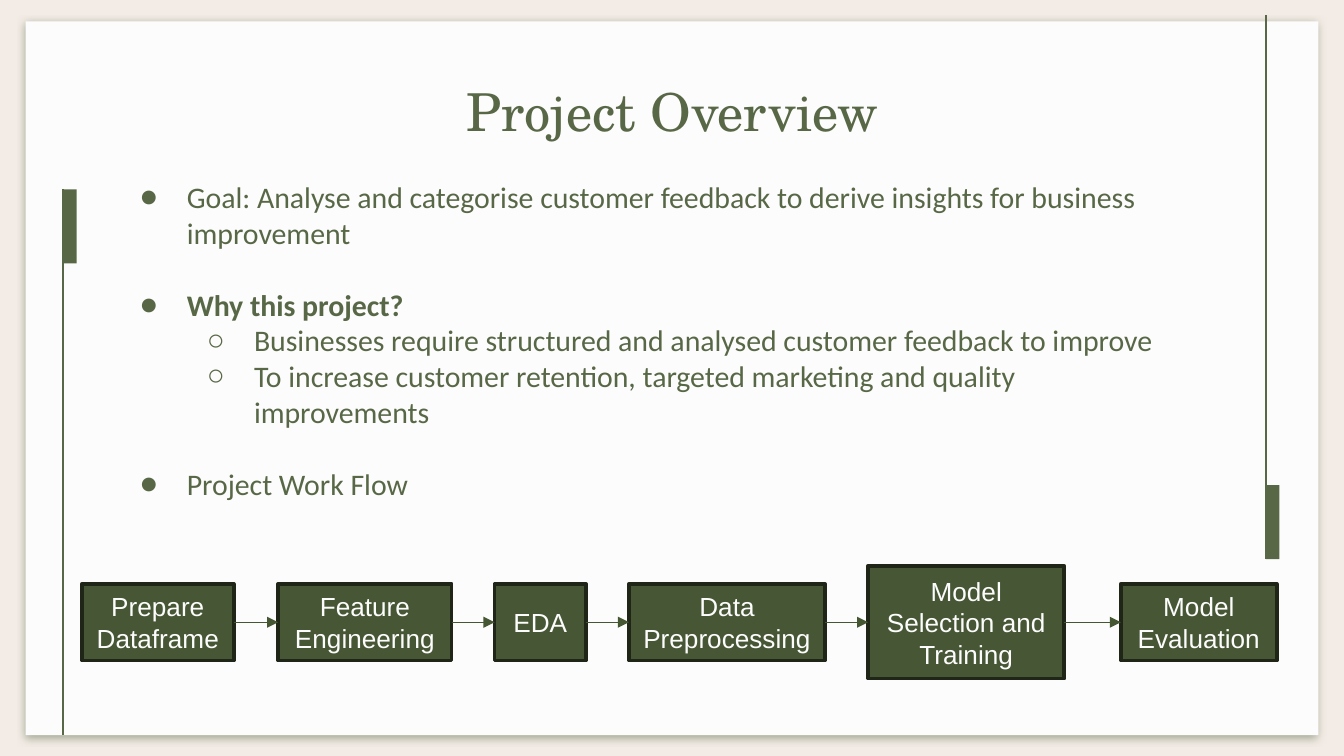
from lxml import etree
from pptx import Presentation
from pptx.dml.color import RGBColor
from pptx.enum import shapes, text
from pptx.oxml import parse_xml
from pptx.oxml.ns import qn
from pptx.util import Inches, Pt

NS = 'xmlns:a="http://schemas.openxmlformats.org/drawingml/2006/main"'
GREEN = "586847"
PALE = "FCFCFC"
MID = 4.63  # centre height of the work flow

# Bullet sign and font for each level
BULLETS = [("●", "Calibri"), ("○", "Arial")]

# text, level, bold, line spacing
ITEMS = [
    ("Goal: Analyse and categorise customer feedback to derive insights "
     "for business improvement", 0, False, 1.0),
    ("Why this project?", 0, True, 2.0),
    ("Businesses require structured and analysed customer feedback to improve",
     1, False, 1.0),
    ("To increase customer retention, targeted marketing and quality improvements",
     1, False, 1.0),
    ("Project Work Flow", 0, False, 2.0),
]

# label, left, width, height
STEPS = [
    ("Prepare Dataframe", 0.61, 1.13, 0.57),
    ("Feature Engineering", 2.07, 1.29, 0.57),
    ("EDA", 3.68, 0.68, 0.57),
    ("Data Preprocessing", 4.68, 1.46, 0.57),
    ("Model Selection and Training", 6.46, 1.46, 0.84),
    ("Model Evaluation", 8.34, 1.16, 0.57),
]


def color(code):
    return RGBColor.from_string(code)


def style(par, font, size, code, bold=False):
    for run in par.runs:
        run.font.name = font
        run.font.size = Pt(size)
        run.font.bold = bold
        run.font.color.rgb = color(code)


def add_rect(slide, left, top, width, height, fill, edge=None):
    rect = slide.shapes.add_shape(
        shapes.MSO_SHAPE.RECTANGLE,
        Inches(left), Inches(top), Inches(width), Inches(height))
    rect.shadow.inherit = False
    rect.fill.solid()
    rect.fill.fore_color.rgb = color(fill)
    if edge:
        rect.line.color.rgb = color(edge)
        rect.line.width = Pt(2)
    else:
        rect.line.fill.background()
    return rect


def add_line(slide, start, end, code):
    line = slide.shapes.add_connector(
        shapes.MSO_CONNECTOR.STRAIGHT, *(Inches(n) for n in start + end))
    line.line.color.rgb = color(code)
    line.line.width = Pt(0.75)
    etree.SubElement(line._element.spPr, qn("a:effectLst"))
    return line


def add_panel(slide):
    panel = add_rect(slide, 0.19, 0.16, 9.62, 5.31, PALE)
    glow = panel._element.spPr.find(qn("a:effectLst"))
    glow.append(parse_xml(
        f'<a:outerShdw {NS} blurRad="{Pt(4.5)}" dist="{Pt(1.5)}" dir="5400000" '
        f'algn="bl" rotWithShape="0"><a:srgbClr val="{GREEN}">'
        '<a:alpha val="50000"/></a:srgbClr></a:outerShdw>'))


def add_trim(slide, left, top, start, end):
    add_rect(slide, left, top, 0.1, 0.55, GREEN)
    add_line(slide, (left, start), (left, end), GREEN)


def place(slide, holder, left, top, width, height):
    holder.left, holder.top = Inches(left), Inches(top)
    holder.width, holder.height = Inches(width), Inches(height)
    # Bring in front of the panel
    slide.shapes._spTree.append(holder._element)
    frame = holder.text_frame
    frame.word_wrap = True
    frame.auto_size = text.MSO_AUTO_SIZE.NONE
    frame.margin_left = frame.margin_right = Inches(0.1)
    frame.margin_top = frame.margin_bottom = Inches(0.1)
    frame.vertical_anchor = text.MSO_ANCHOR.TOP
    return frame


def add_bullet(par, level):
    sign, font = BULLETS[level]
    props = par._p.get_or_add_pPr()
    props.set("marL", str(Inches(0.5 * (level + 1))))
    props.set("indent", str(Inches(-0.35)))
    for part in (f'<a:buClr {NS}><a:srgbClr val="{GREEN}"/></a:buClr>',
                 f'<a:buFont {NS} typeface="{font}"/>',
                 f'<a:buChar {NS} char="{sign}"/>'):
        props.append(parse_xml(part))


def fill_list(frame):
    for i, (words, level, bold, space) in enumerate(ITEMS):
        par = frame.add_paragraph() if i else frame.paragraphs[0]
        par.text = words
        par.level = level
        par.alignment = text.PP_ALIGN.LEFT
        par.line_spacing = space
        par.space_before = par.space_after = Pt(0)
        add_bullet(par, level)
        style(par, "Calibri", 16, GREEN, bold)


def add_step(slide, label, left, width, height):
    box = add_rect(slide, left, MID - height / 2, width, height,
                   "475735", "1F2617")
    frame = box.text_frame
    frame.word_wrap = True
    frame.vertical_anchor = text.MSO_ANCHOR.MIDDLE
    frame.text = label
    par = frame.paragraphs[0]
    par.alignment = text.PP_ALIGN.CENTER
    style(par, "Arial", 14, PALE)
    return box


def add_arrow(slide, first, second):
    arrow = add_line(slide, (0, MID), (1, MID), "455633")
    arrow.begin_connect(first, 3)
    arrow.end_connect(second, 1)
    arrow.line._get_or_add_ln().append(
        parse_xml(f'<a:tailEnd {NS} type="triangle"/>'))


def main():
    deck = Presentation()
    deck.slide_width = Inches(10)
    deck.slide_height = deck.slide_width * 9 // 16
    slide = deck.slides.add_slide(deck.slide_layouts[1])
    title, body = slide.placeholders

    # Backdrop
    slide.background.fill.solid()
    slide.background.fill.fore_color.rgb = color("F3ECE6")
    add_panel(slide)
    add_trim(slide, 0.47, 1.41, 1.41, 5.47)
    add_trim(slide, 9.42, 3.61, 4.16, 0.11)

    # Title and list
    frame = place(slide, title, 0.79, 0.49, 8.43, 0.67)
    frame.text = "Project Overview"
    frame.paragraphs[0].alignment = text.PP_ALIGN.CENTER
    style(frame.paragraphs[0], "TeX Gyre Schola", 28, GREEN)
    fill_list(place(slide, body, 0.79, 1.23, 8.11, 3.25))

    # Work flow
    boxes = [add_step(slide, *step) for step in STEPS]
    for first, second in zip(boxes, boxes[1:]):
        add_arrow(slide, first, second)

    deck.save("out.pptx")


if __name__ == "__main__":
    main()
